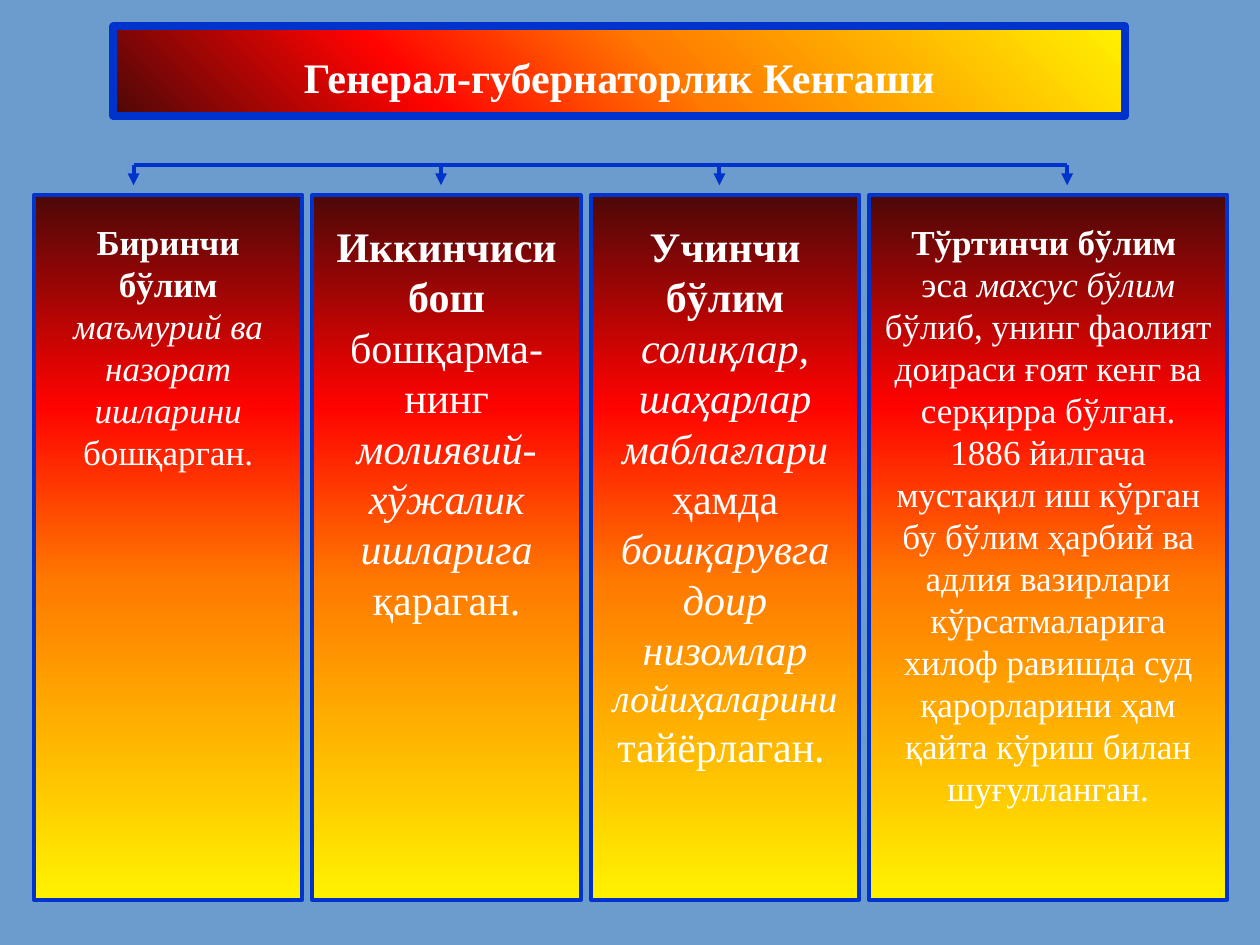
from lxml import etree
from pptx import Presentation
from pptx.dml.color import RGBColor
from pptx.enum.shapes import MSO_CONNECTOR, MSO_SHAPE
from pptx.enum.text import MSO_ANCHOR, MSO_AUTO_SIZE, PP_ALIGN
from pptx.oxml import parse_xml
from pptx.oxml.ns import nsdecls, qn
from pptx.util import Inches, Pt

RECTANGLE = MSO_SHAPE.RECTANGLE
STRAIGHT = MSO_CONNECTOR.STRAIGHT
CENTER = PP_ALIGN.CENTER
TOP, MIDDLE = MSO_ANCHOR.TOP, MSO_ANCHOR.MIDDLE
NO_AUTOFIT = MSO_AUTO_SIZE.NONE

SKY = RGBColor(0x6C, 0x9B, 0xCE)
BLUE = RGBColor(0x00, 0x33, 0xCC)
WHITE = RGBColor(0xFF, 0xFF, 0xFF)
FIRE = [
    (0, RGBColor(0x4D, 0x08, 0x08)),
    (30, RGBColor(0xFF, 0x03, 0x00)),
    (55, RGBColor(0xFF, 0x7A, 0x00)),
    (100, RGBColor(0xFF, 0xF2, 0x00)),
]
FONT = "Times New Roman"
BOLD, ITALIC, PLAIN = {"bold": True}, {"italic": True}, {}

TITLE = "Генерал-губернаторлик Кенгаши"
DEPARTMENTS = [
    {"width": 2.13, "size": 20, "arrow": 1.06, "paragraphs": [[
        ("Биринчи бўлим ", BOLD),
        ("маъмурий ва назорат ишларини ", ITALIC),
        ("бошқарган.", PLAIN),
    ]]},
    {"width": 2.13, "size": 24, "arrow": 3.5, "paragraphs": [[
        ("Иккинчиси бош", BOLD),
        (" бошқарма-нинг ", PLAIN),
        ("молиявий-хўжалик ишларига ", ITALIC),
        ("қараган.", PLAIN),
    ]]},
    {"width": 2.13, "size": 24, "arrow": 5.71, "paragraphs": [[
        ("Учинчи бўлим ", BOLD),
        ("солиқлар, шаҳарлар маблағлари ", ITALIC),
        ("ҳамда ", PLAIN),
        ("бошқарувга доир низомлар ", ITALIC),
        ("лойиҳаларини ", {"italic": True, "size": Pt(22)}),
        ("тайёрлаган.", PLAIN),
        (" ", {"size": Pt(18)}),
    ]]},
    {"width": 2.84, "size": 20, "arrow": 8.47, "paragraphs": [
        [("Тўртинчи бўлим ", BOLD)],
        [
            ("эса ", PLAIN),
            ("махсус бўлим ", ITALIC),
            ("бўлиб, унинг фаолият доираси ғоят кенг ва серқирра бўлган. "
             "1886 йилгача мустақил иш кўрган бу бўлим ҳарбий ва адлия "
             "вазирлари кўрсатмаларига хилоф равишда суд қарорларини ҳам "
             "қайта кўриш билан шуғулланган.", PLAIN),
        ],
    ]},
]
BOX_LEFT, BOX_TOP, BOX_HEIGHT, BOX_GAP = 0.27, 1.55, 5.59, 0.08
BUS_Y, ARROW_END_Y = 1.31, 1.47


def set_attributes(target, values):
    for name, value in values.items():
        setattr(target, name, value)


def paint(shape, angle, line_width):
    stops = "".join(
        f'<a:gs pos="{position * 1000}"><a:srgbClr val="{color}"/></a:gs>'
        for position, color in FIRE)
    shape.fill.background()
    empty_fill = shape._element.spPr.find(qn("a:noFill"))
    empty_fill.getparent().replace(empty_fill, parse_xml(
        f'<a:gradFill {nsdecls("a")} rotWithShape="1"><a:gsLst>{stops}</a:gsLst>'
        f'<a:lin ang="{angle * 60000}" scaled="0"/></a:gradFill>'))
    shape.line.color.rgb = BLUE
    shape.line.width = Pt(line_width)


def write(shape, paragraphs, size, frame_format, line_spacing=None):
    frame = shape.text_frame
    set_attributes(frame, {"word_wrap": True, "auto_size": NO_AUTOFIT, **frame_format})
    for index, runs in enumerate(paragraphs):
        paragraph = frame.add_paragraph() if index else frame.paragraphs[0]
        set_attributes(paragraph, {"alignment": CENTER, "line_spacing": line_spacing})
        for text, style in runs:
            run = paragraph.add_run()
            run.text = text
            run.font.color.rgb = WHITE
            set_attributes(run.font, {"name": FONT, "size": Pt(size), "bold": False,
                                      "italic": False, **style})


def add_title(slide):
    title = slide.shapes.title
    set_attributes(title, {"left": Inches(0.9), "top": Inches(0.21),
                           "width": Inches(8.03), "height": Inches(0.71)})
    title._element.spPr.find(qn("a:xfrm")).addnext(parse_xml(
        f'<a:prstGeom {nsdecls("a")} prst="plaque"><a:avLst>'
        '<a:gd name="adj" fmla="val 16667"/></a:avLst></a:prstGeom>'))
    paint(title, 315, 4.5)
    write(title, [[(TITLE, BOLD)]], 24, {"vertical_anchor": MIDDLE}, 1.2)


def add_department(slide, left, department):
    box = slide.shapes.add_shape(RECTANGLE, Inches(left), Inches(BOX_TOP),
                                 Inches(department["width"]), Inches(BOX_HEIGHT))
    box.shadow.inherit = False
    paint(box, 90, 2.25)
    write(box, department["paragraphs"], department["size"],
          {"vertical_anchor": TOP, "margin_top": Inches(0.2)})


def add_line(slide, start, end, arrow=False):
    line = slide.shapes.add_connector(STRAIGHT, *map(Inches, start + end))
    line.line.color.rgb = BLUE
    line.line.width = Pt(2.25)
    if arrow:
        etree.SubElement(line.line._get_or_add_ln(), qn("a:tailEnd"), type="triangle")
    etree.SubElement(line._element.spPr, qn("a:effectLst"))


def main():
    presentation = Presentation()
    presentation.slide_width, presentation.slide_height = Inches(10), Inches(7.5)
    slide = presentation.slides.add_slide(presentation.slide_layouts[5])
    slide.background.fill.solid()
    slide.background.fill.fore_color.rgb = SKY
    add_title(slide)

    left = BOX_LEFT
    for department in DEPARTMENTS:
        add_department(slide, left, department)
        left += department["width"] + BOX_GAP

    arrows = [department["arrow"] for department in DEPARTMENTS]
    add_line(slide, (arrows[0], BUS_Y), (arrows[-1], BUS_Y))
    for x in arrows:
        add_line(slide, (x, BUS_Y), (x, ARROW_END_Y), arrow=True)
    presentation.save("out.pptx")


if __name__ == "__main__":
    main()
